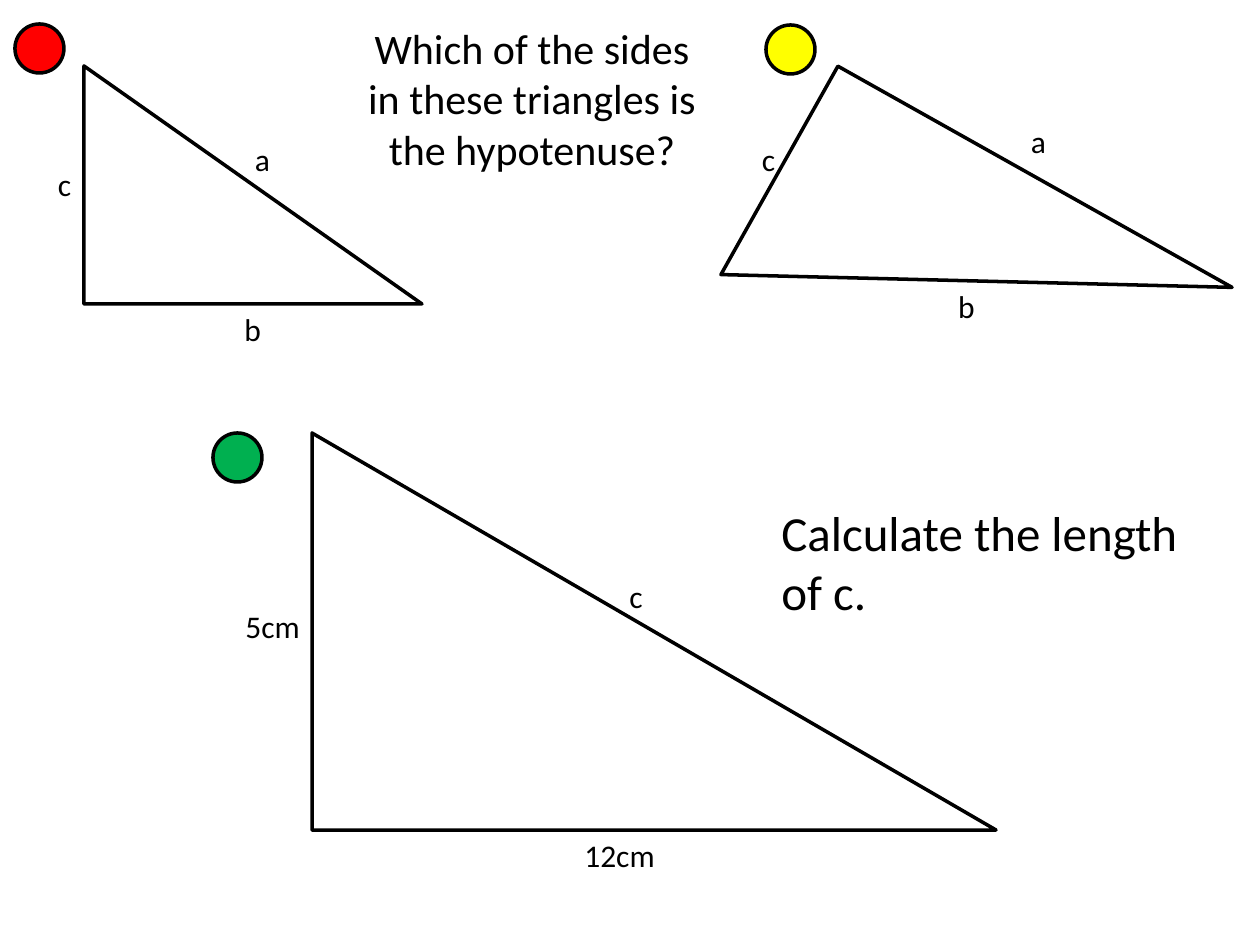
from pptx import Presentation
from pptx.dml.color import RGBColor
from pptx.enum.shapes import MSO_SHAPE
from pptx.enum.text import MSO_ANCHOR, MSO_AUTO_SIZE, PP_ALIGN
from pptx.util import Emu, Pt

BLACK = RGBColor(0, 0, 0)
WHITE = RGBColor(255, 255, 255)
RED = RGBColor(255, 0, 0)
YELLOW = RGBColor(255, 255, 0)
GREEN = RGBColor(0, 176, 80)
SCALE = 914400 / 126
DOT = 49


def px(num):
    return Emu(round(num * SCALE))


def place(item, box):
    item.left, item.top, item.width, item.height = map(px, box)


def write(item, text, size=18, align=PP_ALIGN.LEFT):
    frame = item.text_frame
    frame.word_wrap = True
    frame.auto_size = MSO_AUTO_SIZE.SHAPE_TO_FIT_TEXT
    frame.vertical_anchor = MSO_ANCHOR.TOP
    para = frame.paragraphs[0]
    para.alignment = align
    run = para.add_run()
    run.text = text
    run.font.name = "Calibri"
    run.font.size = Pt(size)
    run.font.color.rgb = BLACK


def label(slide, text, box, **style):
    write(slide.shapes.add_textbox(*map(px, box)), text, **style)


def figure(slide, kind, box, fill=WHITE, turn=0):
    shape = slide.shapes.add_shape(kind, *map(px, box))
    shape.rotation = turn
    shape.shadow.inherit = False
    shape.fill.solid()
    shape.fill.fore_color.rgb = fill
    shape.line.color.rgb = BLACK
    shape.line.width = Pt(2)


def main():
    deck = Presentation()
    deck.slide_width, deck.slide_height = px(1260), px(945)
    slide = deck.slides.add_slide(deck.slide_layouts[5])
    title = slide.shapes.title
    place(title, (353, 16, 358, 164))
    write(title, "Which of the sides in these triangles is the hypotenuse?",
          size=24, align=PP_ALIGN.CENTER)

    for box, turn in (((84, 66, 338, 238), 0),
                      ((857, 55, 239, 452), 119.3),
                      ((312, 433, 684, 397), 0)):
        figure(slide, MSO_SHAPE.RIGHT_TRIANGLE, box, turn=turn)

    for side, left, top in (("b", 193, 304), ("c", 5, 159), ("a", 203, 134),
                            ("b", 907, 281), ("c", 709, 134), ("a", 979, 116)):
        label(slide, side, (left, top, 119, 50), align=PP_ALIGN.CENTER)

    for side, left, top in (("5cm", 233, 601), ("12cm", 572, 830),
                            ("c", 617, 571)):
        label(slide, side, (left, top, 149, 50))
    label(slide, "Calculate the length of c.", (769, 496, 427, 131), size=28)

    for left, top, fill in ((15, 24, RED), (766, 25, YELLOW),
                            (213, 433, GREEN)):
        figure(slide, MSO_SHAPE.OVAL, (left, top, DOT, DOT), fill=fill)
    deck.save("out.pptx")


if __name__ == "__main__":
    main()
